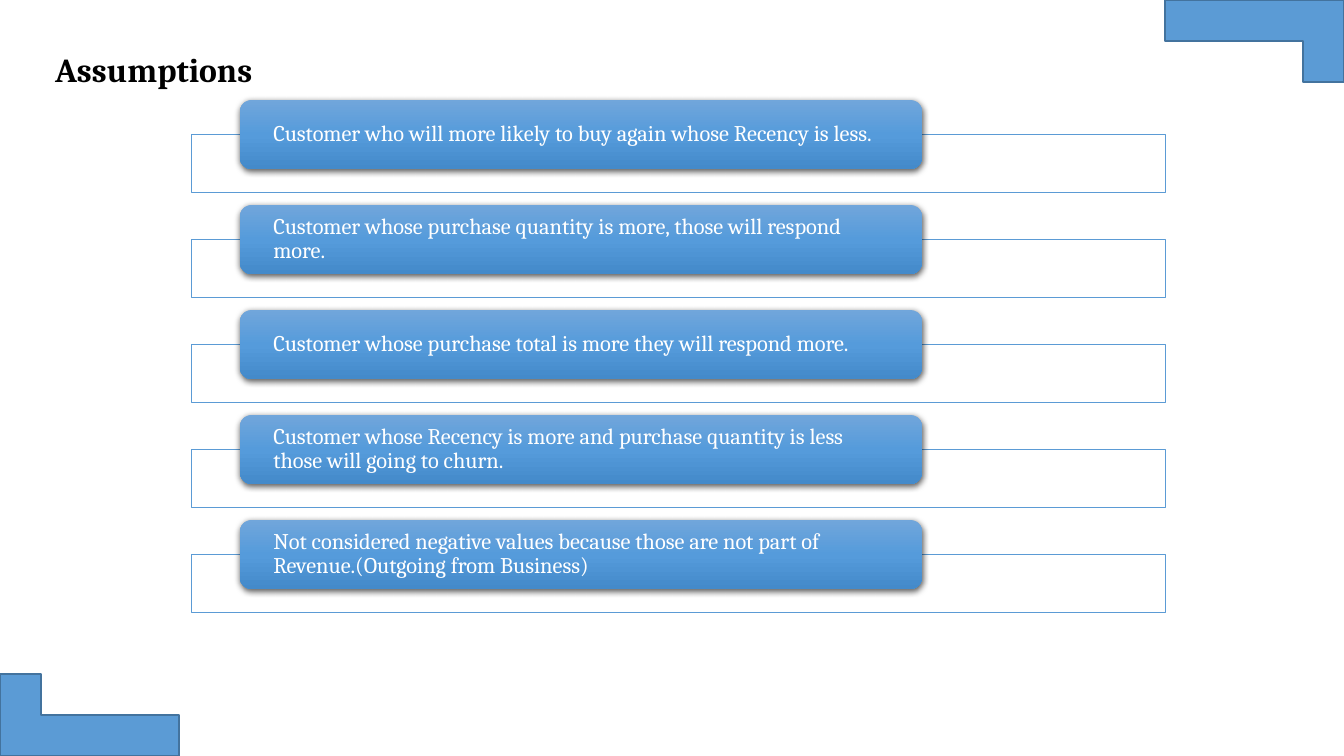
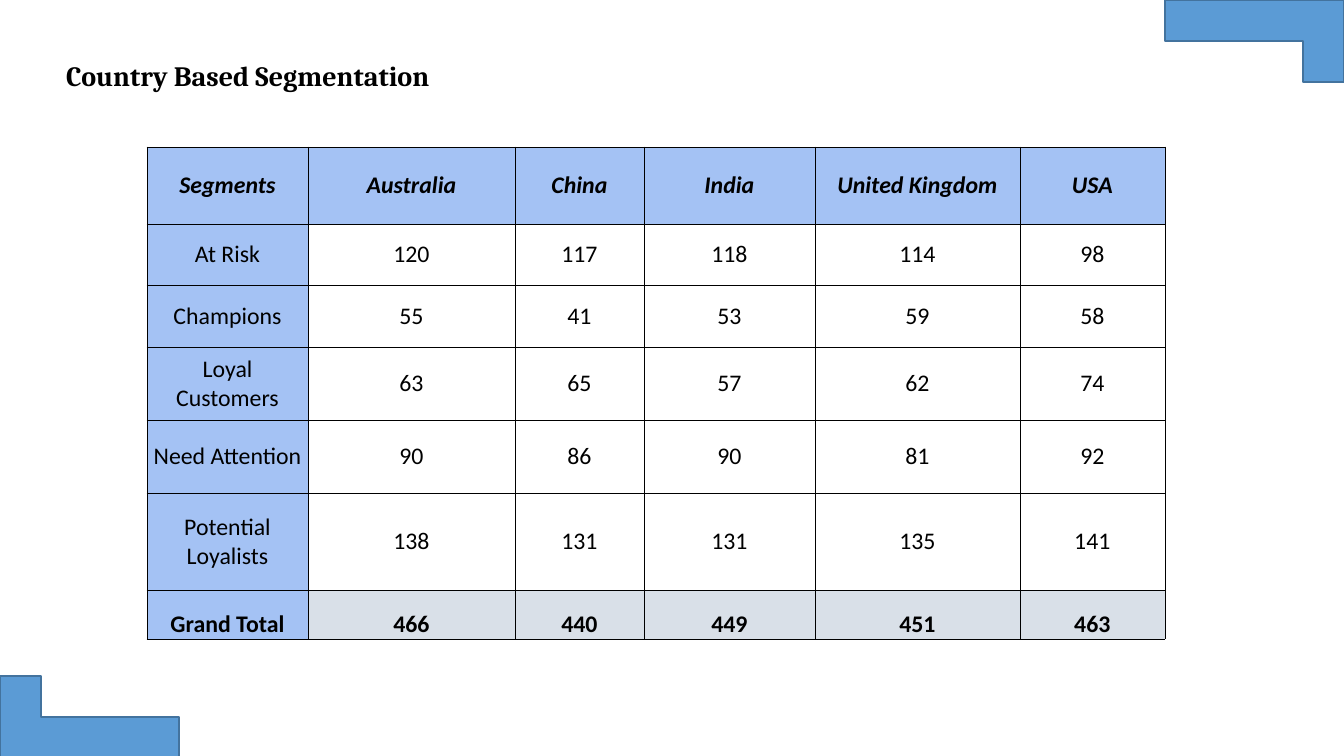
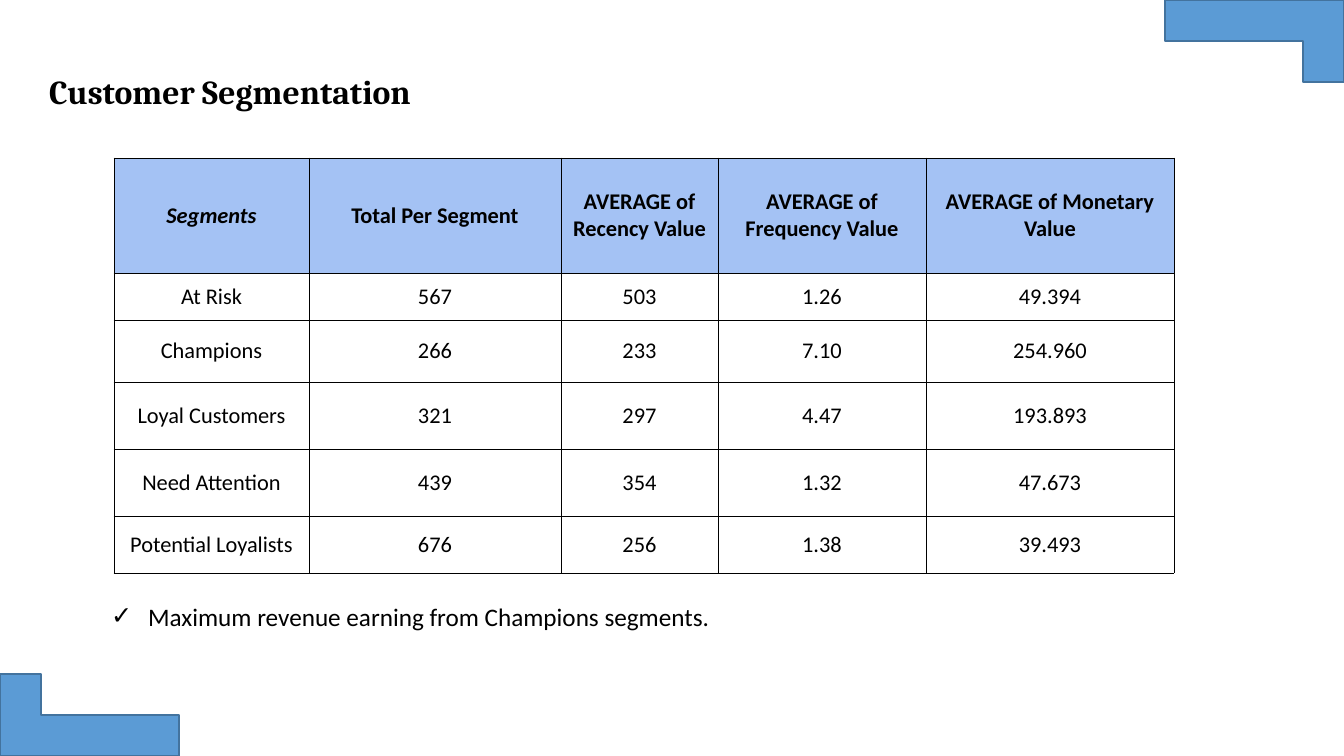
from pptx import Presentation, util as u
from pptx.dml.color import RGBColor
from pptx.enum import shapes, text
from pptx.oxml import parse_xml
from pptx.oxml.ns import nsdecls, qn

COLORS = {
    "blue": "5B9BD5", "edge": "43739E", "head": "A4C2F4", "total": "D9E0E8",
    "white": "FFFFFF", "black": "000000",
    "light": "71A6DB", "mid": "559BDB", "deep": "448ACA",
}
RGB = {name: RGBColor.from_string(code) for name, code in COLORS.items()}
NS = nsdecls("a")


def px(*nums):
    """Turn pixel lengths into a list of EMU lengths."""
    return [u.Emu(round(num * 914400 / 100.8)) for num in nums]


def style(para, face, size, color, bold=False, slant=False):
    font = para.font
    font.name, font.size, font.bold, font.italic = face, u.Pt(size), bold, slant
    font.color.rgb = RGB[color]


deck = Presentation()
deck.slide_width, deck.slide_height = px(1344, 756)
bend = [(0, 0), (41, 0), (41, 41), (179, 41), (179, 82), (0, 82)]

# Titles and corner bands: layout, title, title box, size, top of lower corner
pages = []
for layout, name, box, size, low in [
    (5, "Assumptions", (45, 44, 1148, 50), 24, 674),
    (5, "Country Based Segmentation", (56, 53, 662, 44), 20, 676),
    (1, "Customer Segmentation", (39, 66, 399, 50), 24, 674),
]:
    page = deck.slides.add_slide(deck.slide_layouts[layout])
    pages.append(page)
    title = page.shapes.title
    title.left, title.top, title.width, title.height = px(*box)
    frame = title.text_frame
    frame.text = name
    frame.auto_size = text.MSO_AUTO_SIZE.NONE
    frame.vertical_anchor = text.MSO_ANCHOR.TOP
    para = frame.paragraphs[0]
    para.alignment = text.PP_ALIGN.LEFT
    style(para, "Cambria", size, "black", bold=True)
    for left, top, turn in [(1165, 0, 180), (0, low, 0)]:
        dots = [px(left + x, top + y) for x, y in bend]
        path = page.shapes.build_freeform(*dots[0])
        path.add_line_segments(dots[1:], close=True)
        corner = path.convert_to_shape()
        corner.rotation = turn
        corner.shadow.inherit = False
        corner.fill.solid()
        corner.fill.fore_color.rgb = RGB["blue"]
        corner.line.color.rgb = RGB["edge"]
        corner.line.width = u.Pt(1)

# Assumption cards
stops = "".join(
    f'<a:gs pos="{pos}"><a:srgbClr val="{COLORS[name]}"/></a:gs>'
    for pos, name in [(0, "light"), (50000, "mid"), (100000, "deep")])
shade = (f'<a:gradFill {NS} rotWithShape="1"><a:gsLst>{stops}</a:gsLst>'
         '<a:lin ang="5400000" scaled="0"/></a:gradFill>')
shadow = (f'<a:outerShdw {NS} blurRad="57150" dist="19050" dir="5400000" '
          f'algn="ctr" rotWithShape="0"><a:srgbClr val="{COLORS["black"]}">'
          '<a:alpha val="63000"/></a:srgbClr></a:outerShdw>')

for row, claim in enumerate([
    "Customer who will more likely to buy again whose Recency is less.",
    "Customer whose purchase quantity is more, those will respond more.",
    "Customer whose purchase total is more they will respond more.",
    "Customer whose Recency is more and purchase quantity is less "
    "those will going to churn.",
    "Not considered negative values because those are not part of "
    "Revenue.(Outgoing from Business)",
]):
    top = 100 + 105 * row
    back = pages[0].shapes.add_shape(
        shapes.MSO_SHAPE.RECTANGLE, *px(191, top + 34, 974, 58))
    back.shadow.inherit = False
    back.fill.solid()
    back.fill.fore_color.rgb = RGB["white"]
    back.line.color.rgb = RGB["blue"]
    back.line.width = u.Pt(0.5)

    card = pages[0].shapes.add_shape(
        shapes.MSO_SHAPE.ROUNDED_RECTANGLE, *px(240, top, 682, 69))
    card.line.fill.background()
    card.shadow.inherit = False
    props = card._element.spPr
    props.find(qn("a:ln")).addprevious(parse_xml(shade))
    props.find(qn("a:effectLst")).append(parse_xml(shadow))
    frame = card.text_frame
    frame.text = claim
    frame.word_wrap = True
    frame.vertical_anchor = text.MSO_ANCHOR.MIDDLE
    frame.margin_left, frame.margin_right = px(30, 30)
    frame.margin_top = frame.margin_bottom = 0
    para = frame.paragraphs[0]
    para.alignment = text.PP_ALIGN.LEFT
    para.line_spacing = 0.9
    style(para, "Cambria", 16, "white")

# Segment tables
lands = [
    ["Segments", "Australia", "China", "India", "United Kingdom", "USA"],
    ["At Risk", 120, 117, 118, 114, 98],
    ["Champions", 55, 41, 53, 59, 58],
    ["Loyal Customers", 63, 65, 57, 62, 74],
    ["Need Attention", 90, 86, 90, 81, 92],
    ["Potential Loyalists", 138, 131, 131, 135, 141],
    ["Grand Total", 466, 440, 449, 451, 463],
]
scores = [
    ["Segments", "Total Per Segment", "AVERAGE of Recency Value",
     "AVERAGE of Frequency Value", "AVERAGE of Monetary Value"],
    ["At Risk", 567, 503, "1.26", "49.394"],
    ["Champions", 266, 233, "7.10", "254.960"],
    ["Loyal Customers", 321, 297, "4.47", "193.893"],
    ["Need Attention", 439, 354, "1.32", "47.673"],
    ["Potential Loyalists", 676, 256, "1.38", "39.493"],
]
for page, data, left, top, wide, high, size, by_land in [
    (pages[1], lands, 147, 147, [161, 207, 129, 171, 205, 145],
     [77, 61, 62, 73, 73, 97, 49], 17, True),
    (pages[2], scores, 114, 158, [195, 252, 157, 208, 248],
     [115, 47, 62, 67, 67, 57], 16, False),
]:
    grid = page.shapes.add_table(
        len(high), len(wide), *px(left, top, sum(wide), sum(high))).table
    for col, width in zip(grid.columns, px(*wide)):
        col.width = width
    for line, height in zip(grid.rows, px(*high)):
        line.height = height
    for row, items in enumerate(data):
        last = items[0] == "Grand Total"
        for col, item in enumerate(items):
            cell = grid.cell(row, col)
            cell.text = str(item)
            cell.margin_left, cell.margin_right = px(2, 2)
            cell.margin_top = cell.margin_bottom = 0
            cell.vertical_anchor = (
                text.MSO_ANCHOR.BOTTOM if last else text.MSO_ANCHOR.MIDDLE)
            head = row == 0 or (by_land and col == 0)
            cell.fill.solid()
            cell.fill.fore_color.rgb = RGB[
                "head" if head else "total" if last else "white"]
            para = cell.text_frame.paragraphs[0]
            para.alignment = text.PP_ALIGN.CENTER
            style(para, "Calibri", size, "black", bold=row == 0 or last,
                  slant=row == 0 and (by_land or col == 0))
            for spot, side in enumerate("LRTB"):
                cell._tc.tcPr.insert(spot, parse_xml(
                    f'<a:ln{side} {NS} w="6350"><a:solidFill><a:srgbClr '
                    f'val="{COLORS["black"]}"/></a:solidFill></a:ln{side}>'))

# Finding below the last table
note = pages[2].placeholders[1]
note.left, note.top, note.width, note.height = px(101, 596, 626, 40)
frame = note.text_frame
frame.text = "Maximum revenue earning from Champions segments."
frame.auto_size = text.MSO_AUTO_SIZE.NONE
para = frame.paragraphs[0]
para.space_before = u.Pt(0)
style(para, "Calibri", 18, "black")
props = para._p.get_or_add_pPr()
indent = px(37)[0]
props.set("marL", str(indent))
props.set("indent", str(-indent))
props.append(parse_xml(f'<a:buChar {NS} char="✓"/>'))

deck.save("out.pptx")
